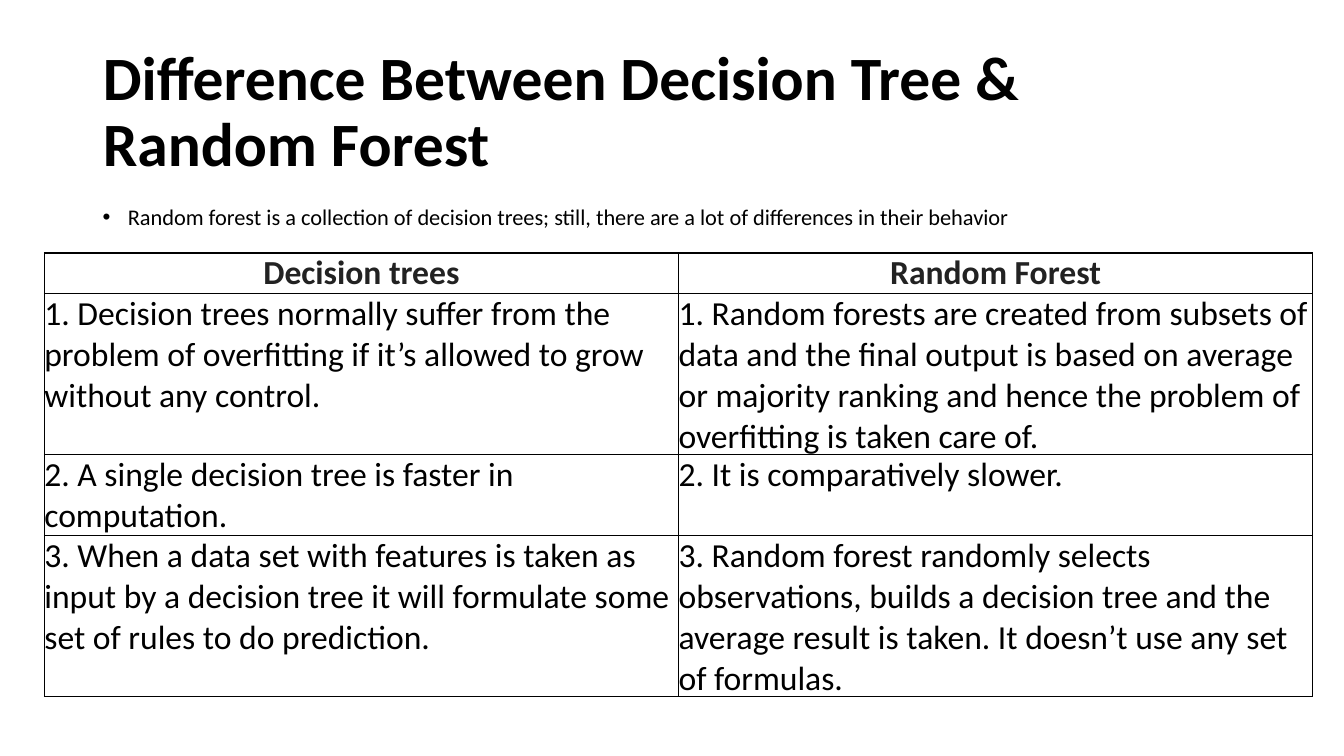
import pptx
import pptx.util
import pptx.dml.color
import pptx.enum.text
import pptx.oxml.ns
from lxml import etree

Inches = pptx.util.Inches
Pt = pptx.util.Pt
qn = pptx.oxml.ns.qn
COLORS = {"text": "000000", "header": "222222", "cell": "FFFFFF", "border": "000000"}
LINE_HEIGHT = 0.4
ROW_LINES = [1, 4, 2, 4]
COMPARISON = [
    ("Decision trees", "Random Forest"),
    (
        "1. Decision trees normally suffer from the problem of overfitting if it’s allowed to grow without any control.",
        "1. Random forests are created from subsets of data and the final output is based on average or majority ranking and hence the problem of overfitting is taken care of.",
    ),
    (
        "2. A single decision tree is faster in computation.",
        "2. It is comparatively slower.",
    ),
    (
        "3. When a data set with features is taken as input by a decision tree it will formulate some set of rules to do prediction.",
        "3. Random forest randomly selects observations, builds a decision tree and the average result is taken. It doesn’t use any set of formulas.",
    ),
]


def write(frame, text, size, color, bold=False, align=pptx.enum.text.PP_ALIGN.LEFT):
    frame.text = text
    frame.word_wrap = True
    para = frame.paragraphs[0]
    para.alignment = align
    font = para.runs[0].font
    font.name = "Calibri"
    font.size = Pt(size)
    font.bold = bold
    font.color.rgb = pptx.dml.color.RGBColor.from_string(COLORS[color])
    return para


def add_borders(cell):
    properties = cell._tc.get_or_add_tcPr()
    for side in ("a:lnL", "a:lnR", "a:lnT", "a:lnB"):
        line = etree.SubElement(properties, qn(side), w=str(Pt(1)))
        fill = etree.SubElement(line, qn("a:solidFill"))
        etree.SubElement(fill, qn("a:srgbClr"), val=COLORS["border"])


deck = pptx.Presentation()
deck.slide_width = Inches(13.33)
deck.slide_height = Inches(7.5)
page = deck.slides.add_slide(deck.slide_layouts[5])

title = page.shapes.title
title.left, title.top = Inches(0.92), Inches(0.4)
title.width, title.height = Inches(11.5), Inches(1.45)
para = write(title.text_frame, "Difference Between Decision Tree & Random Forest", 44, "text", bold=True)
para.line_spacing = 0.9
title.text_frame.vertical_anchor = pptx.enum.text.MSO_ANCHOR.MIDDLE
title.text_frame.auto_size = pptx.enum.text.MSO_AUTO_SIZE.NONE

intro = page.shapes.add_textbox(Inches(0.92), Inches(2), Inches(11.5), Inches(4.76))
para = write(
    intro.text_frame,
    "Random forest is a collection of decision trees; still, there are a lot of differences in their behavior",
    16,
    "text",
)
para.line_spacing = 0.9
para.space_before = Pt(10)
bullet = para._p.get_or_add_pPr()
bullet.set("marL", str(Inches(0.25)))
bullet.set("indent", str(-Inches(0.25)))
etree.SubElement(bullet, qn("a:buFont"), typeface="Arial")
etree.SubElement(bullet, qn("a:buChar"), char="•")

table = page.shapes.add_table(
    len(COMPARISON), 2, Inches(0.44), Inches(2.51), Inches(12.58), Inches(LINE_HEIGHT * sum(ROW_LINES))
).table
table.first_row = False
table.horz_banding = False
for row, lines in zip(table.rows, ROW_LINES):
    row.height = Inches(LINE_HEIGHT * lines)

for row_index, texts in enumerate(COMPARISON):
    for column_index, text in enumerate(texts):
        cell = table.cell(row_index, column_index)
        cell.margin_left = cell.margin_right = cell.margin_top = cell.margin_bottom = 0
        add_borders(cell)
        cell.fill.solid()
        cell.fill.fore_color.rgb = pptx.dml.color.RGBColor.from_string(COLORS["cell"])
        if row_index == 0:
            write(cell.text_frame, text, 24, "header", bold=True, align=pptx.enum.text.PP_ALIGN.CENTER)
        else:
            write(cell.text_frame, text, 24, "text")

deck.save("out.pptx")
